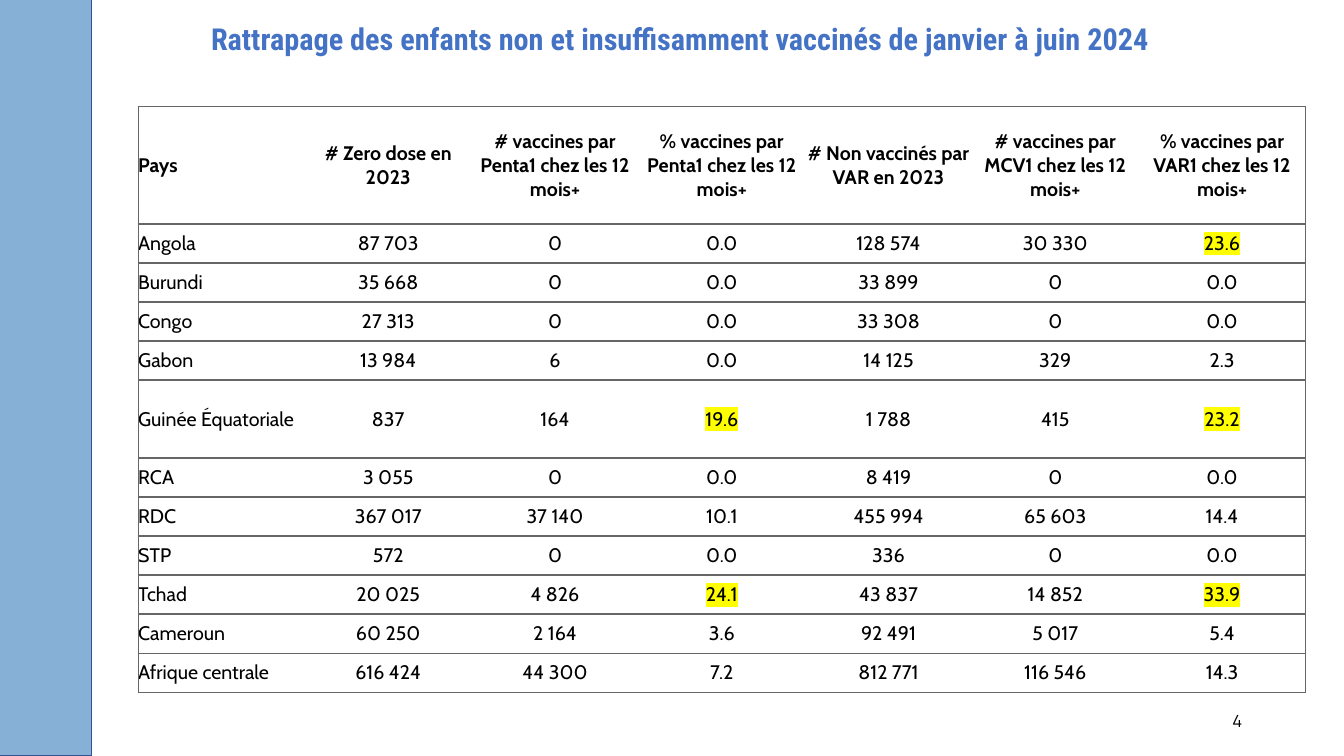
"""Build the slide on catch-up vaccination in Central Africa."""
import dataclasses

import lxml.etree
import pptx
import pptx.dml.color
import pptx.enum.shapes
import pptx.enum.text
import pptx.oxml.ns
import pptx.slide
import pptx.table
import pptx.text.text
import pptx.util

Inches = pptx.util.Inches
Align = pptx.enum.text.PP_ALIGN
Anchor = pptx.enum.text.MSO_ANCHOR
qn = pptx.oxml.ns.qn


@dataclasses.dataclass(frozen=True)
class Style:
    font: str
    size: float
    color: str = "000000"
    bold: bool = False


@dataclasses.dataclass(frozen=True)
class Theme:
    white: str = "FFFFFF"
    band: str = "86B0D6"
    edge: str = "325491"
    rule: str = "666666"
    mark: str = "FFFF00"
    line: float = 1
    title: Style = Style("Roboto Condensed", 21.6, "4472C4", True)
    head: Style = Style("Cabin", 14, bold=True)
    body: Style = Style("Cabin", 14)
    page: Style = Style("Manrope", 12)


@dataclasses.dataclass(frozen=True)
class Row:
    cells: tuple[str, ...]
    units: int = 1


@dataclasses.dataclass(frozen=True)
class Label:
    text: str
    box: tuple[float, float, float, float]
    style: Style
    align: Align
    anchor: Anchor


THEME = Theme()
HEAD = Row(("Pays", "# Zero dose en 2023", "# vaccines par Penta1 chez les 12 mois+",
            "% vaccines par Penta1 chez les 12 mois+", "# Non vaccinés par VAR en 2023",
            "# vaccines par MCV1 chez les 12 mois+", "% vaccines par VAR1 chez les 12 mois+"), 3)
ROWS = (
    Row(("Angola", "87 703", "0", "0.0", "128 574", "30 330", "23.6")),
    Row(("Burundi", "35 668", "0", "0.0", "33 899", "0", "0.0")),
    Row(("Congo", "27 313", "0", "0.0", "33 308", "0", "0.0")),
    Row(("Gabon", "13 984", "6", "0.0", "14 125", "329", "2.3")),
    Row(("Guinée Équatoriale", "837", "164", "19.6", "1 788", "415", "23.2"), 2),
    Row(("RCA", "3 055", "0", "0.0", "8 419", "0", "0.0")),
    Row(("RDC", "367 017", "37 140", "10.1", "455 994", "65 603", "14.4")),
    Row(("STP", "572", "0", "0.0", "336", "0", "0.0")),
    Row(("Tchad", "20 025", "4 826", "24.1", "43 837", "14 852", "33.9")),
    Row(("Cameroun", "60 250", "2 164", "3.6", "92 491", "5 017", "5.4")),
    Row(("Afrique centrale", "616 424", "44 300", "7.2", "812 771", "116 546", "14.3")),
)
RATES = (3, 6)
LIMIT = 15
LABELS = (
    Label("Rattrapage des enfants non et insuffisamment vaccinés de janvier à juin 2024",
          (1.07, 0.15, 11.35, 0.74), THEME.title, Align.CENTER, Anchor.TOP),
    Label("4", (9.42, 6.95, 3, 0.4), THEME.page, Align.RIGHT, Anchor.MIDDLE),
)


def color(code: str) -> pptx.dml.color.RGBColor:
    return pptx.dml.color.RGBColor.from_string(code)


def write(frame: pptx.text.text.TextFrame, text: str, style: Style, align: Align) -> None:
    frame.text = text
    frame.word_wrap = True
    para = frame.paragraphs[0]
    para.alignment = align
    font = para.runs[0].font
    font.name, font.size, font.bold = style.font, pptx.util.Pt(style.size), style.bold
    font.color.rgb = color(style.color)


def mark(frame: pptx.text.text.TextFrame) -> None:
    props = frame.paragraphs[0].runs[0].font._element
    light = lxml.etree.Element(qn("a:highlight"))
    lxml.etree.SubElement(light, qn("a:srgbClr"), val=THEME.mark)
    props.find(qn("a:solidFill")).addnext(light)


def border(cell: pptx.table._Cell, sides: str) -> None:
    props = cell._tc.get_or_add_tcPr()
    for side in "LRTB":
        line = lxml.etree.SubElement(props, qn(f"a:ln{side}"))
        if side in sides:
            line.set("w", str(int(pptx.util.Pt(THEME.line))))
            fill = lxml.etree.SubElement(line, qn("a:solidFill"))
            lxml.etree.SubElement(fill, qn("a:srgbClr"), val=THEME.rule)
        else:
            line.set("w", "0")
            lxml.etree.SubElement(line, qn("a:noFill"))


def fill_cell(cell: pptx.table._Cell, text: str, style: Style, col: int) -> None:
    write(cell.text_frame, text, style, Align.CENTER if col else Align.LEFT)
    cell.vertical_anchor = Anchor.MIDDLE
    cell.margin_left = cell.margin_right = cell.margin_top = cell.margin_bottom = 0
    border(cell, "TB" + {0: "L", len(HEAD.cells) - 1: "R"}.get(col, ""))
    cell.fill.solid()
    cell.fill.fore_color.rgb = color(THEME.white)


def draw_band(slide: pptx.slide.Slide) -> None:
    band = slide.shapes.add_shape(pptx.enum.shapes.MSO_SHAPE.RECTANGLE, Inches(-0.05),
                                  Inches(-0.02), Inches(0.96), Inches(7.52))
    band.shadow.inherit = False
    band.fill.solid()
    band.fill.fore_color.rgb = color(THEME.band)
    band.line.color.rgb = color(THEME.edge)
    band.line.width = pptx.util.Pt(THEME.line)


def draw_label(slide: pptx.slide.Slide, label: Label) -> None:
    frame = slide.shapes.add_textbox(*map(Inches, label.box)).text_frame
    write(frame, label.text, label.style, label.align)
    frame.vertical_anchor = label.anchor


def draw_table(slide: pptx.slide.Slide) -> None:
    rows = (HEAD, *ROWS)
    width, height = 11.58, 5.81
    count = len(HEAD.cells)
    unit = height / sum(row.units for row in rows)
    table = slide.shapes.add_table(len(rows), count, Inches(1.37), Inches(1.06),
                                   Inches(width), Inches(height)).table
    table.horz_banding = False
    for column in table.columns:
        column.width = Inches(width / count)
    for num, row in enumerate(rows):
        table.rows[num].height = Inches(unit * row.units)
        for col, text in enumerate(row.cells):
            cell = table.cell(num, col)
            fill_cell(cell, text, THEME.body if num else THEME.head, col)
            if num and col in RATES and float(text) > LIMIT:
                mark(cell.text_frame)


def main() -> None:
    deck = pptx.Presentation()
    deck.slide_width, deck.slide_height = Inches(13.33), Inches(7.5)
    slide = deck.slides.add_slide(deck.slide_layouts[6])
    slide.background.fill.solid()
    slide.background.fill.fore_color.rgb = color(THEME.white)
    draw_band(slide)
    for label in LABELS:
        draw_label(slide, label)
    draw_table(slide)
    deck.save("out.pptx")


if __name__ == "__main__":
    main()
